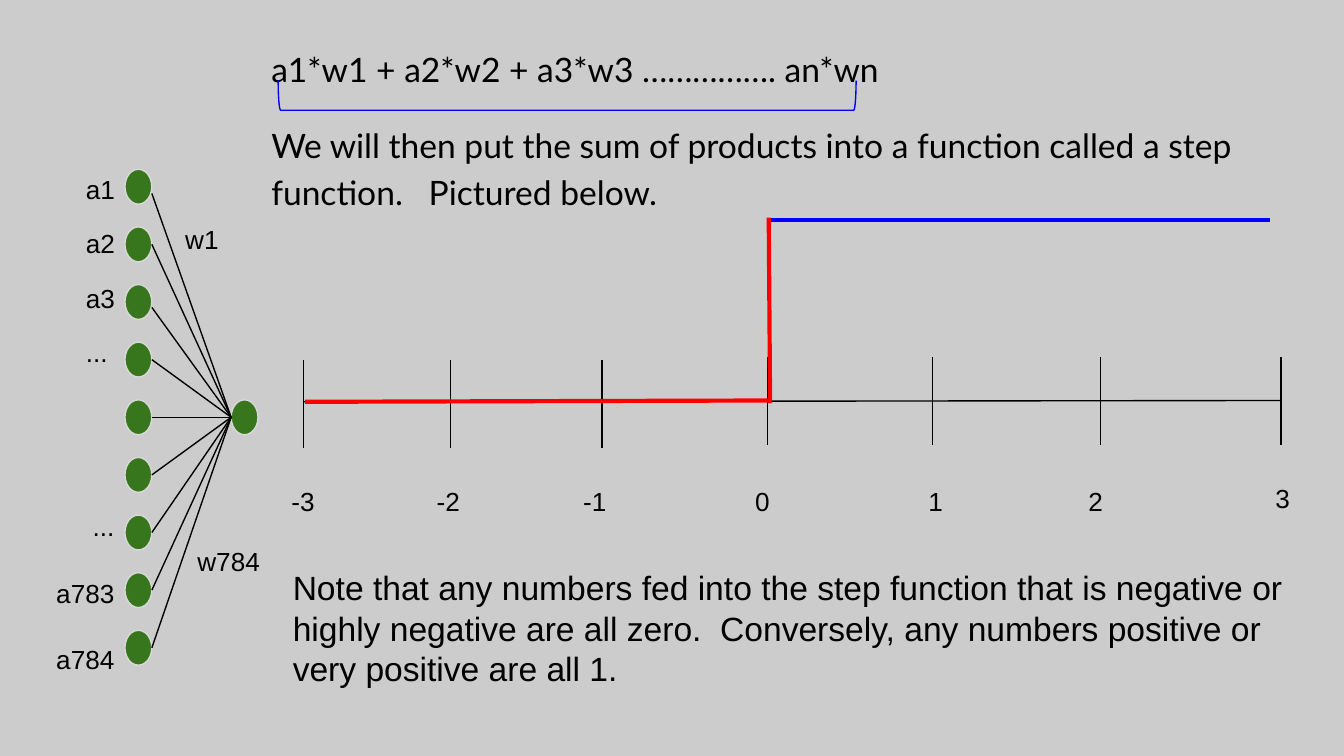
from lxml import etree
from pptx import Presentation
from pptx.dml.color import RGBColor
from pptx.enum import shapes, text
from pptx.oxml import ns
from pptx.util import Inches, Pt

COLORS = {
    "bg": "CCCCCC",
    "black": "000000",
    "node": "38761D",
    "edge": "D9D9D9",
    "red": "FF0000",
    "blue": "0000FF",
}
NODE_W, NODE_H = 0.2, 0.26
INPUT_X, OUTPUT_X = 0.93, 1.72
FIRST_Y, LAST_Y, NODE_COUNT = 1.26, 4.69, 9
TICK_H = 0.65


def rgb(name):
    return RGBColor.from_string(COLORS[name])


def add_text(s, paragraphs, x, y, w, h, size=14, font="Arial",
             line_spacing=None, gap=0):
    """Add a text box, one paragraph per string, with gap points between."""
    tf = s.shapes.add_textbox(Inches(x), Inches(y), Inches(w), Inches(h)).text_frame
    tf.word_wrap = True
    tf.vertical_anchor = text.MSO_ANCHOR.TOP
    tf.margin_left = tf.margin_right = Inches(0.1)
    tf.margin_top = tf.margin_bottom = Inches(0.1)
    for i, content in enumerate(paragraphs):
        p = tf.paragraphs[0] if i == 0 else tf.add_paragraph()
        p.line_spacing = line_spacing
        p.space_before = Pt(gap if i else 0)
        r = p.add_run()
        r.text = content
        r.font.size = Pt(size)
        r.font.name = font
        r.font.color.rgb = rgb("black")


def add_line(s, x1, y1, x2, y2, color="black", width=0.75):
    line = s.shapes.add_connector(shapes.MSO_CONNECTOR.STRAIGHT,
                                  Inches(x1), Inches(y1), Inches(x2), Inches(y2))
    line.line.color.rgb = rgb(color)
    line.line.width = Pt(width)
    etree.SubElement(line._element.spPr, ns.qn("a:effectLst"))


def add_node(s, x, y):
    sp = s.shapes.add_shape(shapes.MSO_SHAPE.OVAL, Inches(x), Inches(y),
                            Inches(NODE_W), Inches(NODE_H))
    sp.shadow.inherit = False
    sp.fill.solid()
    sp.fill.fore_color.rgb = rgb("node")
    sp.line.color.rgb = rgb("edge")
    sp.line.width = Pt(0.75)


def add_bracket(s, x, y, w, h):
    """Add a left bracket turned to lie under the formula."""
    sp = s.shapes.add_shape(shapes.MSO_SHAPE.LEFT_BRACKET, Inches(x), Inches(y),
                            Inches(w), Inches(h))
    sp.rotation = 270
    sp.adjustments[0] = 0.083
    sp.shadow.inherit = False
    sp.fill.background()
    sp.line.color.rgb = rgb("blue")
    sp.line.width = Pt(0.75)


def add_network(s):
    step = (LAST_Y - FIRST_Y) / (NODE_COUNT - 1)
    tops = [FIRST_Y + i * step for i in range(NODE_COUNT)]
    output_y = tops[NODE_COUNT // 2]
    for y in tops:
        add_node(s, INPUT_X, y)
    add_node(s, OUTPUT_X, output_y)

    # Weights; two of them start a little below the middle of their node
    offsets = {0: 0.05, 2: 0.04}
    for i, y in enumerate(tops):
        add_line(s, INPUT_X + NODE_W, y + NODE_H / 2 + offsets.get(i, 0),
                 OUTPUT_X, output_y + NODE_H / 2)

    # Input and weight labels
    labels = [
        ("a1", 0.54, 1.19, 0.49), ("a2", 0.54, 1.59, 0.49),
        ("a3", 0.54, 2.0, 0.49), ("...", 0.54, 2.4, 0.49),
        ("...", 0.59, 3.7, 0.49), ("a783", 0.32, 4.2, 0.75),
        ("a784", 0.32, 4.69, 0.75), ("w1", 1.28, 1.56, 0.49),
        ("w784", 1.37, 3.96, 1.18),
    ]
    for label, x, y, w in labels:
        add_text(s, [label], x, y, w, 0.26)


def add_step_plot(s):
    # Axis, ticks and tick labels: value, tick x, label x, label y
    add_line(s, 2.26, 2.99, 9.53, 2.98)
    ticks = [
        (-3, 2.26, 2.07, 3.51), (-2, 3.35, 3.15, 3.51), (-1, 4.48, 4.24, 3.51),
        (0, 5.71, 5.52, 3.51), (1, 6.94, 6.81, 3.51), (2, 8.19, 8.0, 3.51),
        (3, 9.53, 9.39, 3.49),
    ]
    for value, x, label_x, label_y in ticks:
        top = 2.68 if value < 0 else 2.66
        add_line(s, x, top, x, top + TICK_H)
        add_text(s, [str(value)], label_x, label_y, 0.39, 0.47)

    # Step function
    add_line(s, 2.27, 2.99, 5.73, 2.98, "red", 2.25)
    add_line(s, 5.73, 3.0, 5.72, 1.62, "red", 2.25)
    add_line(s, 5.74, 1.64, 9.45, 1.64, "blue", 2.25)


def main():
    # Widescreen slide, 16:9
    prs = Presentation()
    prs.slide_width = Inches(10)
    prs.slide_height = Inches(10 * 9 / 16)
    s = prs.slides.add_slide(prs.slide_layouts[6])
    s.background.fill.solid()
    s.background.fill.fore_color.rgb = rgb("bg")

    # Formula and introduction
    add_text(s, ["a1*w1 + a2*w2 + a3*w3 ……………. an*wn",
                 "We will then put the sum of products into a function called "
                 "a step function.   Pictured below."],
             1.92, 0.22, 7.78, 2.98, size=18, font="Lato",
             line_spacing=1.15, gap=16)

    add_network(s)
    add_step_plot(s)
    add_bracket(s, 4.11, -1.44, 0.22, 4.3)

    # Closing note
    add_text(s, ["Note that any numbers fed into the step function that is "
                 "negative or highly negative are all zero.  Conversely, any "
                 "numbers positive or very positive are all 1."],
             2.08, 4.12, 7.62, 1.13, size=18)

    prs.save("out.pptx")


if __name__ == "__main__":
    main()
